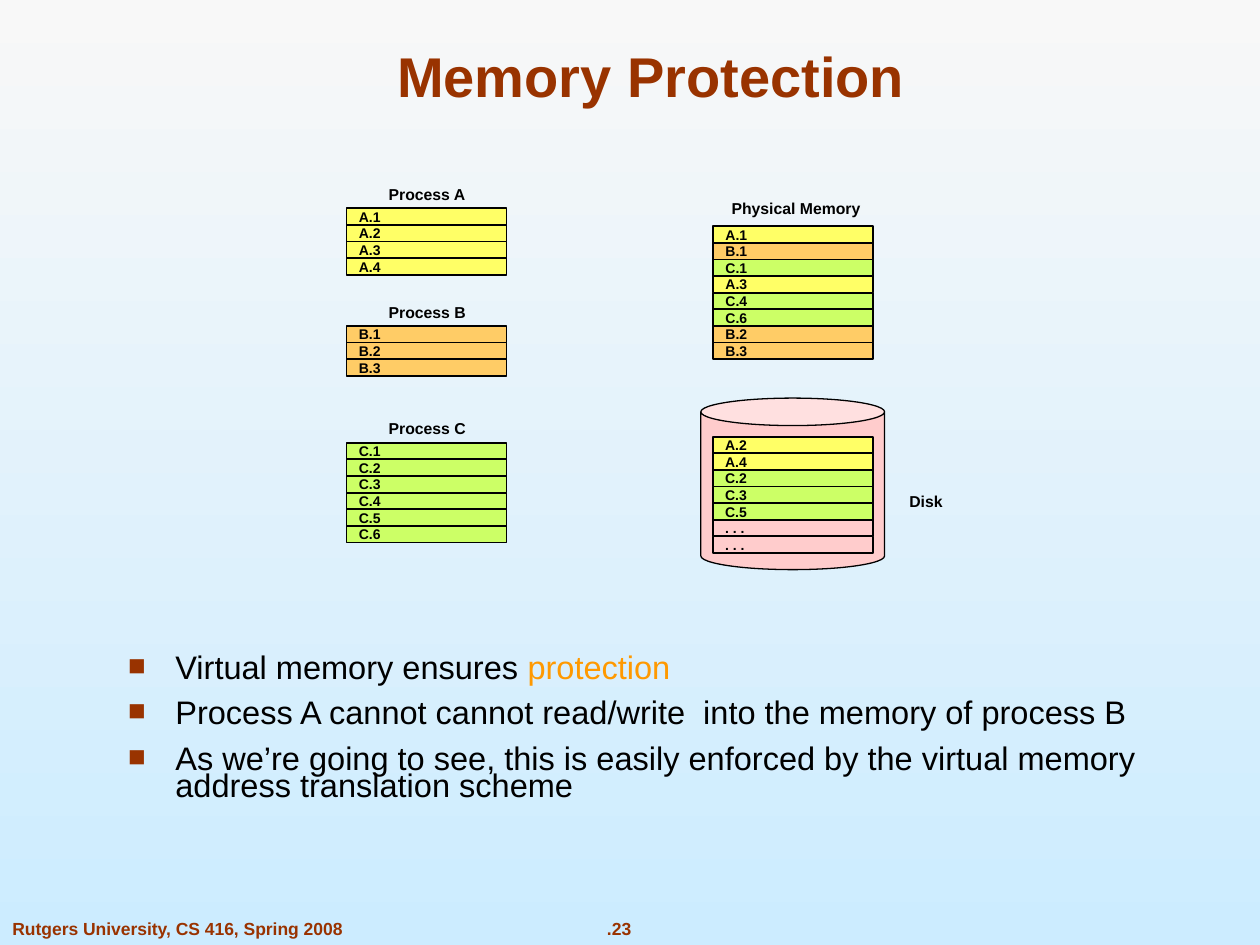
from dataclasses import dataclass

from lxml import etree
from pptx import Presentation
from pptx.dml.color import RGBColor
from pptx.enum import shapes, text
from pptx.oxml.ns import qn
from pptx.util import Pt


@dataclass(frozen=True)
class Theme:
    font: str = "Arial"
    accent: str = "993300"
    highlight: str = "FF9900"
    ink: str = "000000"
    disk: str = "FFCCCC"
    sky_top: str = "F8F8F8"
    sky_bottom: str = "CCECFF"
    title_size: float = 32
    body_size: float = 18.6
    footer_size: float = 10
    label_size: float = 9
    page_size: float = 8


THEME = Theme()
PAGE_COLORS = {"A": "FFFF66", "B": "FFCC66", "C": "CCFF66"}
PAGE_WIDTH, PAGE_HEIGHT = 91.5, 9.5

PROCESS_LEFT, MEMORY_LEFT = 198, 407.5
PROCESSES = [("A", 4, 119), ("B", 3, 186.25), ("C", 6, 253)]
MEMORY_PAGES = ["A.1", "B.1", "C.1", "A.3", "C.4", "C.6", "B.2", "B.3"]
DISK_PAGES = ["A.2", "A.4", "C.2", "C.3", "C.5", ". . .", ". . ."]

BULLETS = [
    [("Virtual memory ensures ", THEME.ink), ("protection", THEME.highlight)],
    [("Process A cannot cannot read/write  into the memory of process B",
      THEME.ink)],
    [("As we’re going to see, this is easily enforced by the virtual memory "
      "address translation scheme", THEME.ink)],
]


def rgb(color):
    return RGBColor.from_string(color)


def place(shape, left, top, width, height):
    shape.left, shape.top = Pt(left), Pt(top)
    shape.width, shape.height = Pt(width), Pt(height)


def add_run(paragraph, words, size, color, bold=True):
    run = paragraph.add_run()
    run.text = words
    font = run.font
    font.name, font.size, font.bold = THEME.font, Pt(size), bold
    font.color.rgb = rgb(color)


def add_label(parent, box, words, size=THEME.label_size, color=THEME.ink,
              alignment=text.PP_ALIGN.LEFT):
    label = parent.add_textbox(*(Pt(length) for length in box))
    frame = label.text_frame
    frame.word_wrap = False
    frame.auto_size = text.MSO_AUTO_SIZE.SHAPE_TO_FIT_TEXT
    frame.paragraphs[0].alignment = alignment
    add_run(frame.paragraphs[0], words, size, color)


def add_outlined(parent, preset, box, fill, line_width):
    shape = parent.add_shape(preset, *(Pt(length) for length in box))
    shape.shadow.inherit = False
    if fill:
        shape.fill.solid()
        shape.fill.fore_color.rgb = rgb(fill)
    else:
        shape.fill.background()
    shape.line.color.rgb = rgb(THEME.ink)
    shape.line.width = Pt(line_width)
    return shape


def add_pages(parent, left, top, names):
    """Stack one page frame per name, coloured by its owning process."""
    for row, name in enumerate(names):
        box = (left, top + row * PAGE_HEIGHT, PAGE_WIDTH, PAGE_HEIGHT)
        page = add_outlined(parent, shapes.MSO_SHAPE.RECTANGLE, box,
                            PAGE_COLORS.get(name[0]), 1)
        frame = page.text_frame
        frame.word_wrap = False
        frame.vertical_anchor = text.MSO_ANCHOR.MIDDLE
        frame.paragraphs[0].alignment = text.PP_ALIGN.LEFT
        add_run(frame.paragraphs[0], name, THEME.page_size, THEME.ink)


def add_process(slide, left, top, letter, count):
    group = slide.shapes.add_group_shape().shapes
    add_pages(group, left, top, [f"{letter}.{n}" for n in range(1, count + 1)])
    add_label(group, (left + 17, top - 17, 62, 18), f"Process {letter}")


def add_memory(slide, left, top):
    group = slide.shapes.add_group_shape().shapes
    add_label(group, (left + 3.5, top - 19.5, 91, 18), "Physical Memory")
    add_pages(group, left, top, MEMORY_PAGES)


def add_disk(slide, left, top, width, height):
    group = slide.shapes.add_group_shape().shapes
    can = add_outlined(group, shapes.MSO_SHAPE.CAN,
                       (left, top, width, height), THEME.disk, 0.75)
    can.adjustments[0] = 0.16
    add_label(group, (left + width + 7, top + 50, 37, 18), "Disk")
    add_pages(group, left + (width - PAGE_WIDTH) / 2, top + 22, DISK_PAGES)


def add_bullet(paragraph, indent):
    properties = paragraph._p.get_or_add_pPr()
    properties.set("marL", str(Pt(indent)))
    properties.set("indent", str(-Pt(indent)))
    color = etree.SubElement(properties, qn("a:buClr"))
    etree.SubElement(color, qn("a:srgbClr"), val=THEME.accent)
    etree.SubElement(properties, qn("a:buSzPct"), val="90000")
    etree.SubElement(properties, qn("a:buFont"), typeface=THEME.font)
    etree.SubElement(properties, qn("a:buChar"), char="■")


def fill_title(title, *box):
    place(title, *box)
    frame = title.text_frame
    frame.auto_size = text.MSO_AUTO_SIZE.NONE
    frame.vertical_anchor = text.MSO_ANCHOR.BOTTOM
    frame.paragraphs[0].alignment = text.PP_ALIGN.CENTER
    add_run(frame.paragraphs[0], "Memory Protection",
            THEME.title_size, THEME.accent)


def fill_body(body, *box):
    place(body, *box)
    frame = body.text_frame
    frame.auto_size = text.MSO_AUTO_SIZE.NONE
    for number, runs in enumerate(BULLETS):
        paragraph = frame.add_paragraph() if number else frame.paragraphs[0]
        add_bullet(paragraph, 27)
        paragraph.line_spacing = 0.7
        paragraph.space_before = Pt(10.5 if number else 0)
        for words, color in runs:
            add_run(paragraph, words, THEME.body_size, color, bold=False)


def add_footer(slide, top, height):
    add_label(slide.shapes, (321, top, 65.5, height), ".23",
              THEME.footer_size, THEME.accent, text.PP_ALIGN.CENTER)
    add_label(slide.shapes, (0, top, 204, height),
              "Rutgers University, CS 416, Spring 2008",
              THEME.footer_size, THEME.accent)


def paint_background(slide):
    fill = slide.background.fill
    fill.gradient()
    fill.gradient_angle = 270
    for stop, color in zip(fill.gradient_stops,
                           (THEME.sky_top, THEME.sky_bottom)):
        stop.color.rgb = rgb(color)


def main():
    presentation = Presentation()
    presentation.slide_width, presentation.slide_height = Pt(720), Pt(540)
    slide = presentation.slides.add_slide(presentation.slide_layouts[1])
    paint_background(slide)
    add_footer(slide, 521, 19)
    fill_title(slide.shapes.title, 54, 18, 636, 48)
    fill_body(slide.placeholders[1], 66, 372, 636, 90)
    add_disk(slide, 400.5, 227.5, 105, 98)
    for letter, count, top in PROCESSES:
        add_process(slide, PROCESS_LEFT, top, letter, count)
    add_memory(slide, MEMORY_LEFT, 129.25)
    presentation.save("out.pptx")


if __name__ == "__main__":
    main()
